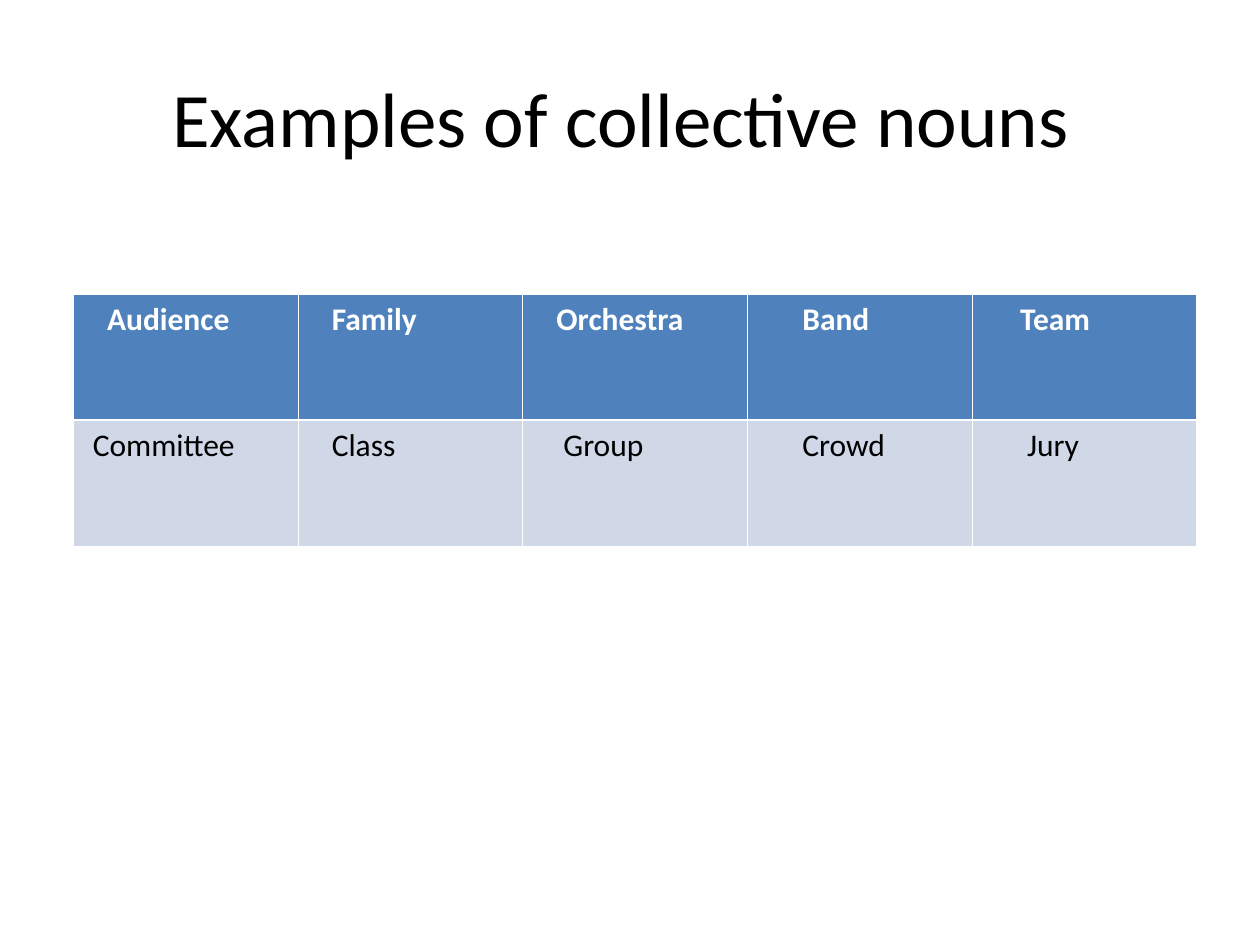
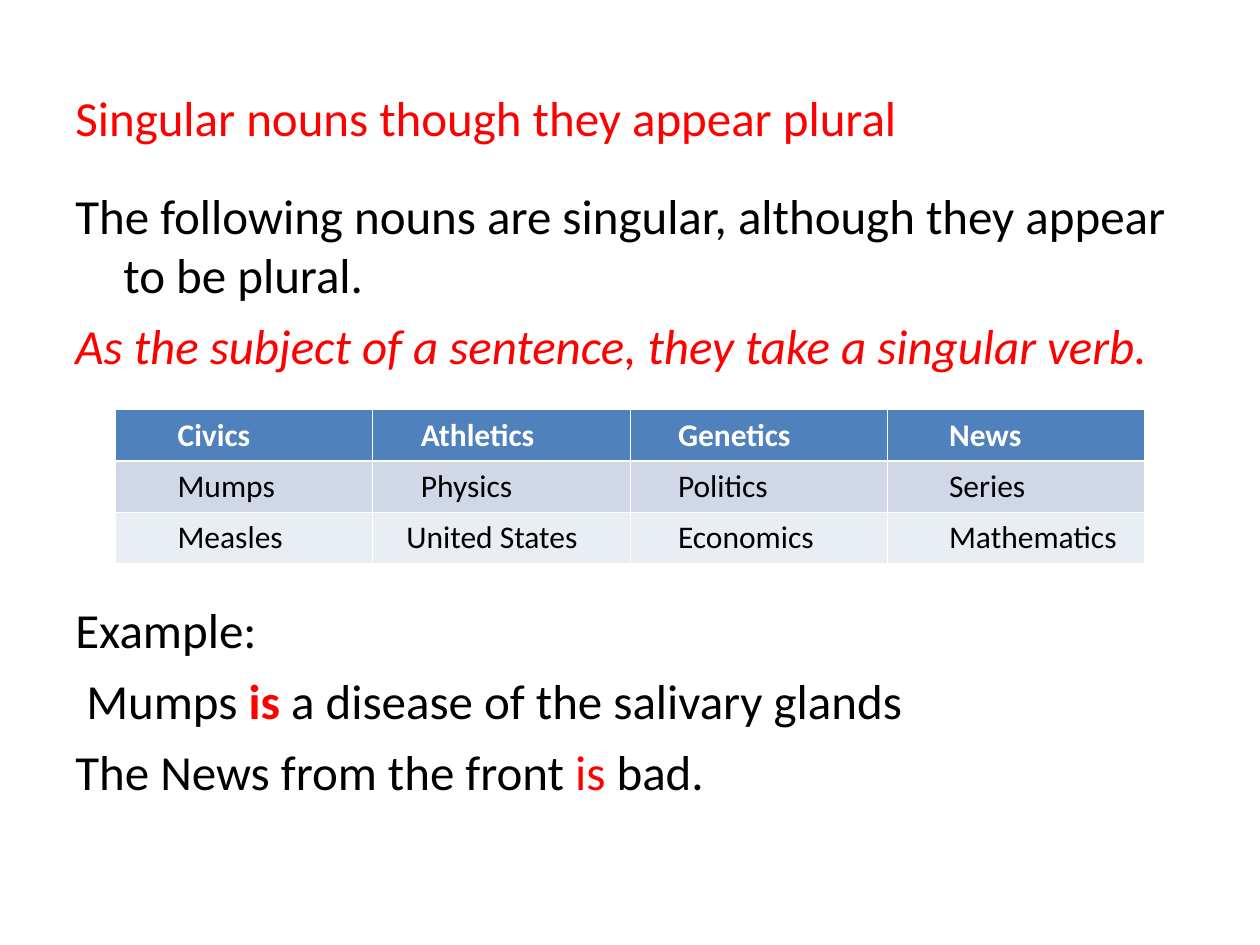
import pptx
import pptx.util
import pptx.dml.color
import pptx.enum.text
import pptx.oxml
import pptx.oxml.ns

Cm = pptx.util.Cm
Pt = pptx.util.Pt
ANCHOR = pptx.enum.text.MSO_ANCHOR
ALIGN = pptx.enum.text.PP_ALIGN

FONT = "Calibri"
BLACK, WHITE, RED = "000000", "FFFFFF", "FF0000"
HEADER_FILL = "4F81BD"
BAND_FILLS = ["D0D8E8", "E9EDF4"]
THIN, THICK = 0.45, 1.47
HANGING = 0.97


def rgb(value):
    return pptx.dml.color.RGBColor.from_string(value)


def add_run(p, text, size, color=BLACK, bold=False, italic=False):
    r = p.add_run()
    r.text = text
    r.font.name = FONT
    r.font.size = Pt(size)
    r.font.bold = bold
    r.font.italic = italic
    r.font.color.rgb = rgb(color)


def add_text_frame(s, box, anchor=ANCHOR.TOP):
    tf = s.shapes.add_textbox(*map(Cm, box)).text_frame
    tf.word_wrap = True
    tf.vertical_anchor = anchor
    return tf


def add_title(s, box, text, size, color=BLACK, align=ALIGN.LEFT):
    p = add_text_frame(s, box, ANCHOR.MIDDLE).paragraphs[0]
    p.alignment = align
    add_run(p, text, size, color)


def add_body(s, box, paragraphs):
    tf = add_text_frame(s, box)
    for i, (first_indent, runs) in enumerate(paragraphs):
        p = tf.add_paragraph() if i else tf.paragraphs[0]
        pPr = p._p.get_or_add_pPr()
        pPr.set("marL", str(Cm(HANGING)))
        pPr.set("indent", str(Cm(first_indent - HANGING)))
        if i:
            p.space_before = Pt(7)
        for text, style in runs:
            add_run(p, text, 28, **style)


def set_border(cell, side, width):
    cell._tc.get_or_add_tcPr().append(pptx.oxml.parse_xml(
        f'<a:{side} {pptx.oxml.ns.nsdecls("a")} w="{Pt(width)}"><a:solidFill>'
        f'<a:srgbClr val="{WHITE}"/></a:solidFill></a:{side}>'))


def add_noun_table(s, box, rows):
    left, top, width, height = box
    table = s.shapes.add_table(len(rows), len(rows[0]), *map(Cm, box)).table
    for column in table.columns:
        column.width = Cm(width / len(rows[0]))
    for i, row in enumerate(rows):
        table.rows[i].height = Cm(height / len(rows))
        header = i == 0
        for j, (noun, indent) in enumerate(row):
            cell = table.cell(i, j)
            cell.margin_left = Cm(0.25 + indent)
            set_border(cell, "lnL", THIN)
            set_border(cell, "lnR", THIN)
            set_border(cell, "lnT", THICK if i == 1 else THIN)
            set_border(cell, "lnB", THICK if header else THIN)
            cell.fill.solid()
            cell.fill.fore_color.rgb = rgb(HEADER_FILL if header else BAND_FILLS[(i - 1) % 2])
            add_run(cell.text_frame.paragraphs[0], noun, 18,
                    WHITE if header else BLACK, bold=header)


def build_collective_nouns(s):
    add_title(s, (1.09, 0.76, 22.86, 3.18), "Examples of collective nouns", 44,
              align=ALIGN.CENTER)
    add_noun_table(s, (1.48, 5.93, 22.65, 5.08), [
        [("Audience", 0.43), ("Family", 0.43), ("Orchestra", 0.43),
         ("Band", 0.86), ("Team", 0.72)],
        [("Committee", 0.14), ("Class", 0.43), ("Group", 0.57),
         ("Crowd", 0.86), ("Jury", 0.86)],
    ])


def build_singular_nouns(s):
    add_title(s, (1.27, 0.76, 22.86, 3.18), "Singular nouns though they appear plural", 28, RED)
    add_body(s, (1.27, 3.61, 22.86, 4.4), [
        (0, [("The following nouns are singular, although they appear to be plural.", {})]),
        (0, [("As the subject of a sentence, they take a singular verb.",
              {"color": RED, "italic": True})]),
    ])
    add_body(s, (1.27, 11.96, 22.86, 5.06), [
        (0, [("Example:", {})]),
        (0.22, [("Mumps ", {}), ("is", {"color": RED, "bold": True}),
                (" a disease of the salivary glands", {})]),
        (0, [("The News from the front ", {}), ("is", {"color": RED}), (" bad.", {})]),
    ])
    add_noun_table(s, (2.33, 8.26, 20.74, 3.09), [
        [("Civics", 1), ("Athletics", 0.72), ("Genetics", 0.72), ("News", 1)],
        [("Mumps", 1), ("Physics", 0.72), ("Politics", 0.72), ("Series", 1)],
        [("Measles", 1), ("United States", 0.43), ("Economics", 0.72), ("Mathematics", 1)],
    ])


def main():
    prs = pptx.Presentation()
    prs.slide_width, prs.slide_height = Cm(25.4), Cm(19.05)
    for build in (build_collective_nouns, build_singular_nouns):
        build(prs.slides.add_slide(prs.slide_layouts[6]))
    prs.save("out.pptx")


if __name__ == "__main__":
    main()
